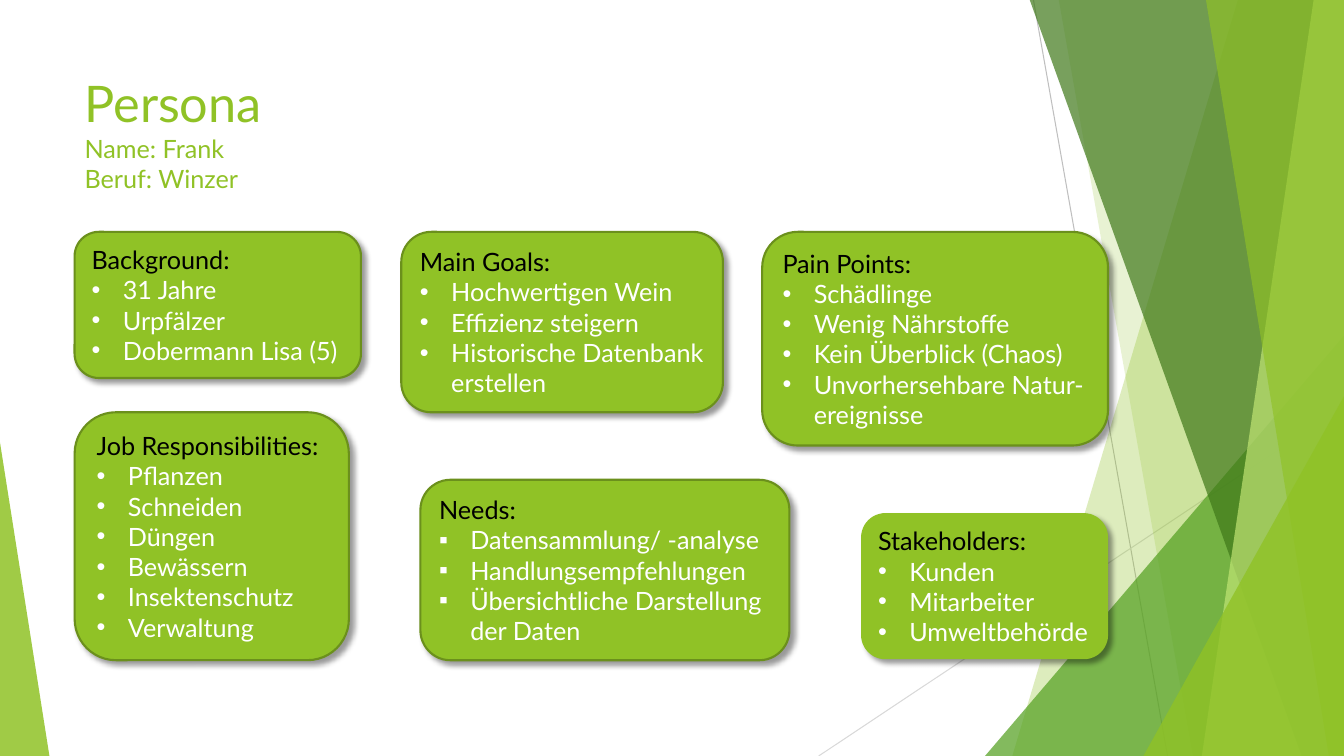
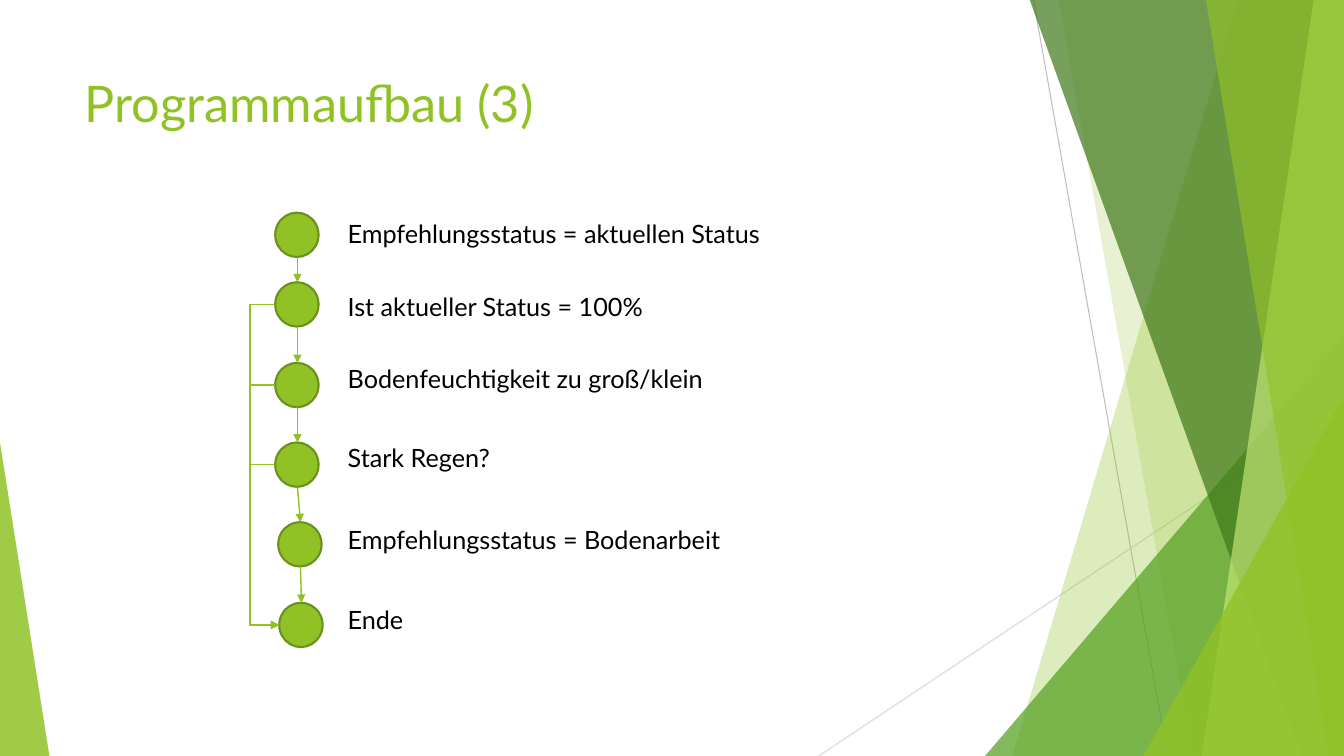
from lxml.etree import SubElement
from pptx import Presentation
from pptx.dml.color import RGBColor
from pptx.enum.shapes import MSO_CONNECTOR as LINK, MSO_SHAPE as SHAPE
from pptx.enum.text import MSO_ANCHOR as ANCHOR, MSO_AUTO_SIZE as AUTO_SIZE, PP_ALIGN as ALIGN
from pptx.oxml.ns import qn
from pptx.util import Pt

PX = 9144  # EMU per px, 100 px to the inch
WIDTH, HEIGHT = 1333, 750
FONT = "Lato"
GREEN = RGBColor(0x90, 0xC2, 0x26)
OUTLINE = RGBColor(0x6B, 0x90, 0x1C)
MID_GREEN = RGBColor(0x54, 0xA0, 0x21)
DARK_GREEN = RGBColor(0x3F, 0x78, 0x19)
PALE_GREEN = RGBColor(0xC0, 0xE4, 0x74)
GREY = RGBColor(0xBF, 0xBF, 0xBF)
LIGHT_GREY = RGBColor(0xD9, 0xD9, 0xD9)
BLACK = RGBColor(0, 0, 0)
WHITE = RGBColor(255, 255, 255)


def write(paragraph, text, size, color):
    """Add text as runs, with a line break at each newline."""
    for number, line in enumerate(text.split("\n")):
        if number:
            paragraph.add_line_break()
        if line:
            run = paragraph.add_run()
            run.text = line
            run.font.name = FONT
            run.font.size = Pt(size)
            run.font.color.rgb = color


def draw_line(slide, kind, start, end, color, width, arrow=False):
    link = slide.shapes.add_connector(kind, *(PX * v for v in (*start, *end)))
    link.line.color.rgb = color
    link.line.width = Pt(width)
    properties = link._element.spPr
    if arrow:
        SubElement(properties.find(qn("a:ln")), qn("a:tailEnd"), type="triangle")
    SubElement(properties, qn("a:effectLst"))
    return link


deck = Presentation()
deck.slide_width, deck.slide_height = WIDTH * PX, HEIGHT * PX
persona, program = [deck.slides.add_slide(deck.slide_layouts[6]) for _ in range(2)]

# Facets: top x, bottom x of a band reaching the right edge,
# or left, top, width, height, apex of a triangle
facets = [
    ((1228, 1004), GREEN, 30),
    ((1050, 1183), GREEN, 20),
    ((977, 333, 356, 417, 1), MID_GREEN, 72),
    ((1021, 1291), DARK_GREEN, 70),
    ((1303, 1192), PALE_GREEN, 70),
    ((1196, 1318), GREEN, 65),
    ((1134, 393, 199, 357, 1), GREEN, 80),
    ((0, 439, 49, 311, 0), GREEN, 85),
]
headings = [
    (persona, "Persona", "\nName: Frank\nBeruf: Winzer"),
    (program, "Programmaufbau (3)", ""),
]
for slide, heading, details in headings:
    draw_line(slide, LINK.STRAIGHT, (1025, 0), (1158, HEIGHT), GREY, 0.75)
    draw_line(slide, LINK.STRAIGHT, (WIDTH, 403), (812, HEIGHT), LIGHT_GREY, 0.75)
    for outline, color, opacity in facets:
        if len(outline) == 2:
            top, bottom = outline
            builder = slide.shapes.build_freeform(top, -1, scale=PX)
            builder.add_line_segments([(WIDTH, -1), (WIDTH, HEIGHT), (bottom, HEIGHT)])
            facet = builder.convert_to_shape()
        else:
            *box, apex = outline
            facet = slide.shapes.add_shape(SHAPE.ISOSCELES_TRIANGLE, *(PX * v for v in box))
            facet.adjustments[0] = apex
        facet.shadow.inherit = False
        facet.line.fill.background()
        facet.fill.solid()
        facet.fill.fore_color.rgb = color
        tint = facet._element.spPr.find(qn("a:solidFill")).find(qn("a:srgbClr"))
        SubElement(tint, qn("a:alpha"), val=str(opacity * 1000))
    title = slide.shapes.add_textbox(74 * PX, 67 * PX, 940 * PX, 144 * PX).text_frame
    title.word_wrap = True
    write(title.paragraphs[0], heading, 36, GREEN)
    write(title.paragraphs[0], details, 18, GREEN)

# Persona: cards with a heading and bulleted items
cards = [
    ((74, 230, 284, 145), "Background:", "•", True,
     ["31 Jahre", "Urpfälzer", "Dobermann Lisa (5)"]),
    ((417, 476, 366, 179), "Needs:", "▪", True,
     ["Datensammlung/ -analyse", "Handlungsempfehlungen",
      "Übersichtliche Darstellung\nder Daten"]),
    ((398, 230, 319, 179), "Main Goals:", "•", True,
     ["Hochwertigen Wein", "Effizienz steigern", "Historische Datenbank\nerstellen"]),
    ((854, 509, 245, 145), "Stakeholders:", "•", False,
     ["Kunden", "Mitarbeiter", "Umweltbehörde"]),
    ((756, 230, 343, 212), "Pain Points:", "•", True,
     ["Schädlinge", "Wenig Nährstoffe", "Kein Überblick (Chaos)",
      "Unvorhersehbare Natur-\nereignisse"]),
    ((74, 409, 272, 246), "Job Responsibilities:", "•", True,
     ["Pflanzen", "Schneiden", "Düngen", "Bewässern", "Insektenschutz", "Verwaltung"]),
]
for box, heading, bullet, outlined, items in cards:
    card = persona.shapes.add_shape(SHAPE.ROUNDED_RECTANGLE, *(PX * v for v in box))
    card.fill.solid()
    card.fill.fore_color.rgb = GREEN
    if outlined:
        card.line.color.rgb = OUTLINE
        card.line.width = Pt(1.5)
    else:
        card.line.fill.background()
    card.shadow.inherit = False
    shadow = SubElement(card._element.spPr.find(qn("a:effectLst")), qn("a:outerShdw"),
                        blurRad=str(Pt(4)), dist=str(Pt(4)), dir="2700000",
                        algn="tl", rotWithShape="0")
    SubElement(SubElement(shadow, qn("a:srgbClr"), val="000000"), qn("a:alpha"), val="40000")
    frame = card.text_frame
    frame.word_wrap = False
    frame.auto_size = AUTO_SIZE.SHAPE_TO_FIT_TEXT
    frame.vertical_anchor = ANCHOR.MIDDLE
    frame.paragraphs[0].alignment = ALIGN.LEFT
    write(frame.paragraphs[0], heading, 18, BLACK)
    for item in items:
        paragraph = frame.add_paragraph()
        paragraph.alignment = ALIGN.LEFT
        indent = paragraph._p.get_or_add_pPr()
        indent.set("marL", str(31 * PX))
        indent.set("indent", str(-31 * PX))
        SubElement(indent, qn("a:buFont"), typeface="Arial")
        SubElement(indent, qn("a:buChar"), char=bullet)
        write(paragraph, item, 18, WHITE)

# Program flow: left and top of each node, then top, width and text of its label
NODE_WIDTH, NODE_HEIGHT = 43, 44
steps = [
    (273, 211, 212, 480, "Empfehlungsstatus = aktuellen Status"),
    (273, 280, 284, 354, "Ist aktueller Status = 100%"),
    (273, 360, 356, 412, "Bodenfeuchtigkeit zu groß/klein"),
    (273, 439, 434, 330, "Stark Regen?"),
    (276, 518, 515, 419, "Empfehlungsstatus = Bodenarbeit"),
    (277, 598, 595, 277, "Ende"),
]
for left, top, label_top, label_width, text in steps:
    node = program.shapes.add_shape(SHAPE.OVAL, left * PX, top * PX,
                                    NODE_WIDTH * PX, NODE_HEIGHT * PX)
    node.shadow.inherit = False
    node.fill.solid()
    node.fill.fore_color.rgb = GREEN
    node.line.color.rgb = OUTLINE
    node.line.width = Pt(1.5)
    label = program.shapes.add_textbox(335 * PX, label_top * PX,
                                       label_width * PX, 40 * PX).text_frame
    label.word_wrap = True
    label.auto_size = AUTO_SIZE.SHAPE_TO_FIT_TEXT
    write(label.paragraphs[0], text, 18, BLACK)

for (left, top, *_), (next_left, next_top, *_) in zip(steps, steps[1:]):
    draw_line(program, LINK.STRAIGHT, (left + NODE_WIDTH // 2 + 1, top + NODE_HEIGHT),
              (next_left + NODE_WIDTH // 2 + 1, next_top), GREEN, 1, arrow=True)

# Shortcuts from the three checks to the end run along one rail on the left
RAIL = 248
end_left, end_top, *_ = steps[-1]
for left, top, *_ in steps[1:4]:
    shortcut = draw_line(program, LINK.ELBOW, (left, top + NODE_HEIGHT // 2),
                         (end_left, end_top + NODE_HEIGHT // 2), GREEN, 1, arrow=True)
    bend = (RAIL - left) * 100000 // (end_left - left)
    guides = shortcut._element.spPr.find(qn("a:prstGeom")).find(qn("a:avLst"))
    SubElement(guides, qn("a:gd"), name="adj1", fmla=f"val {bend}")

deck.save("out.pptx")
